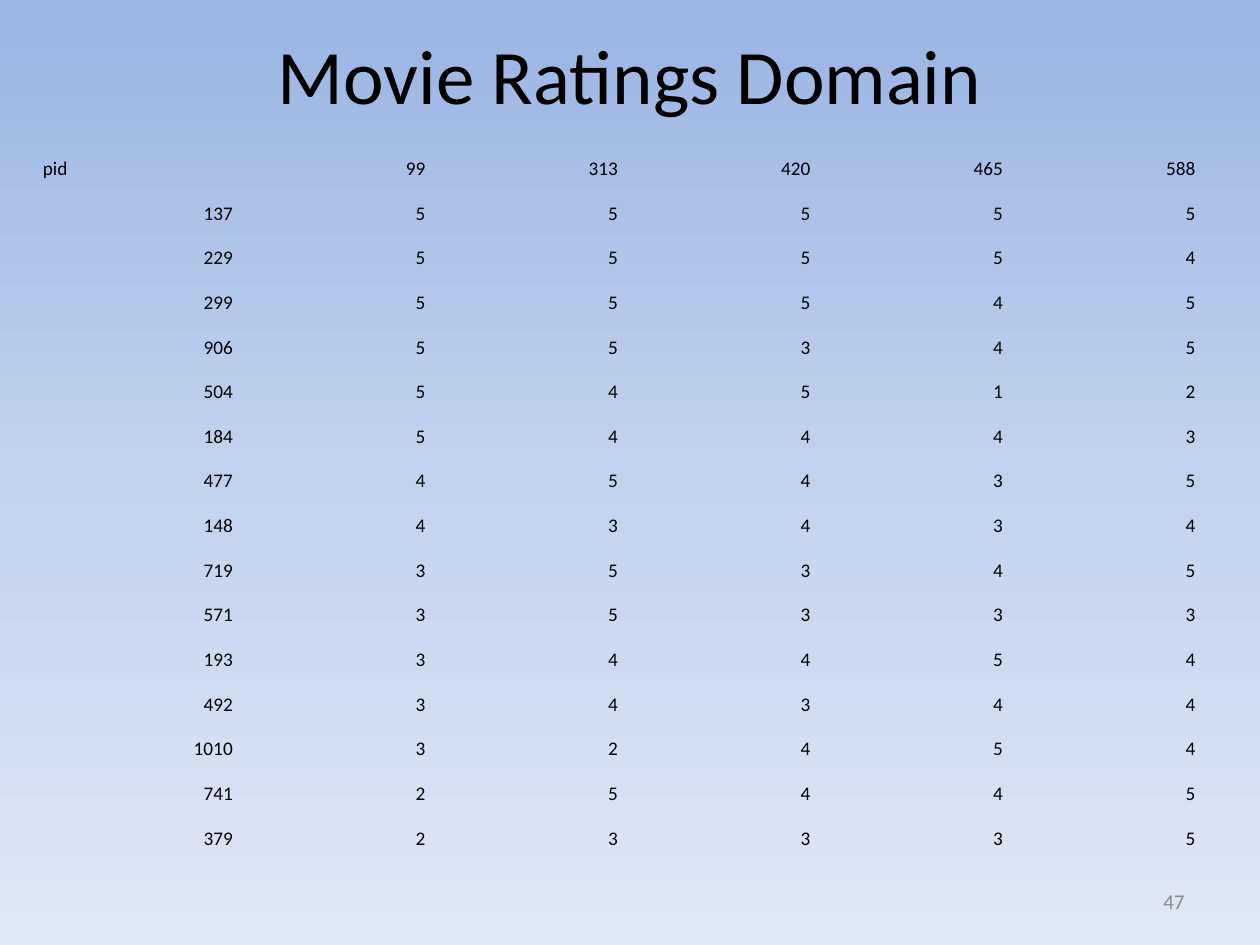
from copy import deepcopy

from pptx import Presentation
from pptx.dml.color import RGBColor
from pptx.enum.text import MSO_ANCHOR, PP_ALIGN
from pptx.oxml.ns import qn
from pptx.util import Inches, Pt

BLACK = RGBColor(0x00, 0x00, 0x00)
GRAY = RGBColor(0x8C, 0x8C, 0x8C)
SKY = [
    (0, RGBColor(0x9A, 0xB5, 0xE4)),
    (0.5, RGBColor(0xC2, 0xD1, 0xED)),
    (1, RGBColor(0xE1, 0xE8, 0xF5)),
]
LEFT, CENTER, RIGHT = PP_ALIGN.LEFT, PP_ALIGN.CENTER, PP_ALIGN.RIGHT
MIDDLE, BOTTOM = MSO_ANCHOR.MIDDLE, MSO_ANCHOR.BOTTOM
FONT = "Calibri"
PLAIN_TABLE_STYLE = "{2D5ABB26-0587-4C30-8999-92F81FD0307C}"

RATINGS = [
    ("pid", 99, 313, 420, 465, 588),
    (137, 5, 5, 5, 5, 5),
    (229, 5, 5, 5, 5, 4),
    (299, 5, 5, 5, 4, 5),
    (906, 5, 5, 3, 4, 5),
    (504, 5, 4, 5, 1, 2),
    (184, 5, 4, 4, 4, 3),
    (477, 4, 5, 4, 3, 5),
    (148, 4, 3, 4, 3, 4),
    (719, 3, 5, 3, 4, 5),
    (571, 3, 5, 3, 3, 3),
    (193, 3, 4, 4, 5, 4),
    (492, 3, 4, 3, 4, 4),
    (1010, 3, 2, 4, 5, 4),
    (741, 2, 5, 4, 4, 5),
    (379, 2, 3, 3, 3, 5),
]


def write(tf, text, size, color, align):
    p = tf.paragraphs[0]
    p.text = text
    p.alignment = align
    p.font.name = FONT
    p.font.size = Pt(size)
    p.font.color.rgb = color


prs = Presentation()
prs.slide_width, prs.slide_height = Inches(10), Inches(7.5)
s = prs.slides.add_slide(prs.slide_layouts[5])

# Background: three-stop gradient, top to bottom
fill = s.background.fill
fill.gradient()
fill.gradient_angle = 270
stops = s.element.find(".//" + qn("a:gsLst"))
stops.append(deepcopy(stops[-1]))
for stop, (position, color) in zip(fill.gradient_stops, SKY):
    stop.position = position
    stop.color.rgb = color

# Slide number
number = s.shapes.add_textbox(Inches(7.17), Inches(6.95), Inches(2.33), Inches(0.4))
number.text_frame.word_wrap = True
number.text_frame.vertical_anchor = MIDDLE
write(number.text_frame, "47", 12, GRAY, RIGHT)

# Title
title = s.shapes.title
title.left, title.top = Inches(0.5), Inches(0.17)
title.width, title.height = Inches(9), Inches(0.83)
title.text_frame.vertical_anchor = MIDDLE
write(title.text_frame, "Movie Ratings Domain", 44, BLACK, CENTER)

# Ratings table: equal rows and columns, no fills or borders
frame = s.shapes.add_table(len(RATINGS), len(RATINGS[0]),
                           Inches(0.33), Inches(1.08), Inches(9.17), Inches(5.67))
table = frame.table
table.first_row = table.horz_banding = False
frame.element.find(".//" + qn("a:tableStyleId")).text = PLAIN_TABLE_STYLE
for r, values in enumerate(RATINGS):
    for c, value in enumerate(values):
        cell = table.cell(r, c)
        cell.fill.background()
        cell.vertical_anchor = BOTTOM
        cell.margin_left = cell.margin_right = cell.margin_top = Inches(0.01)
        cell.margin_bottom = 0
        write(cell.text_frame, str(value), 11, BLACK, LEFT if value == "pid" else RIGHT)

prs.save("out.pptx")
